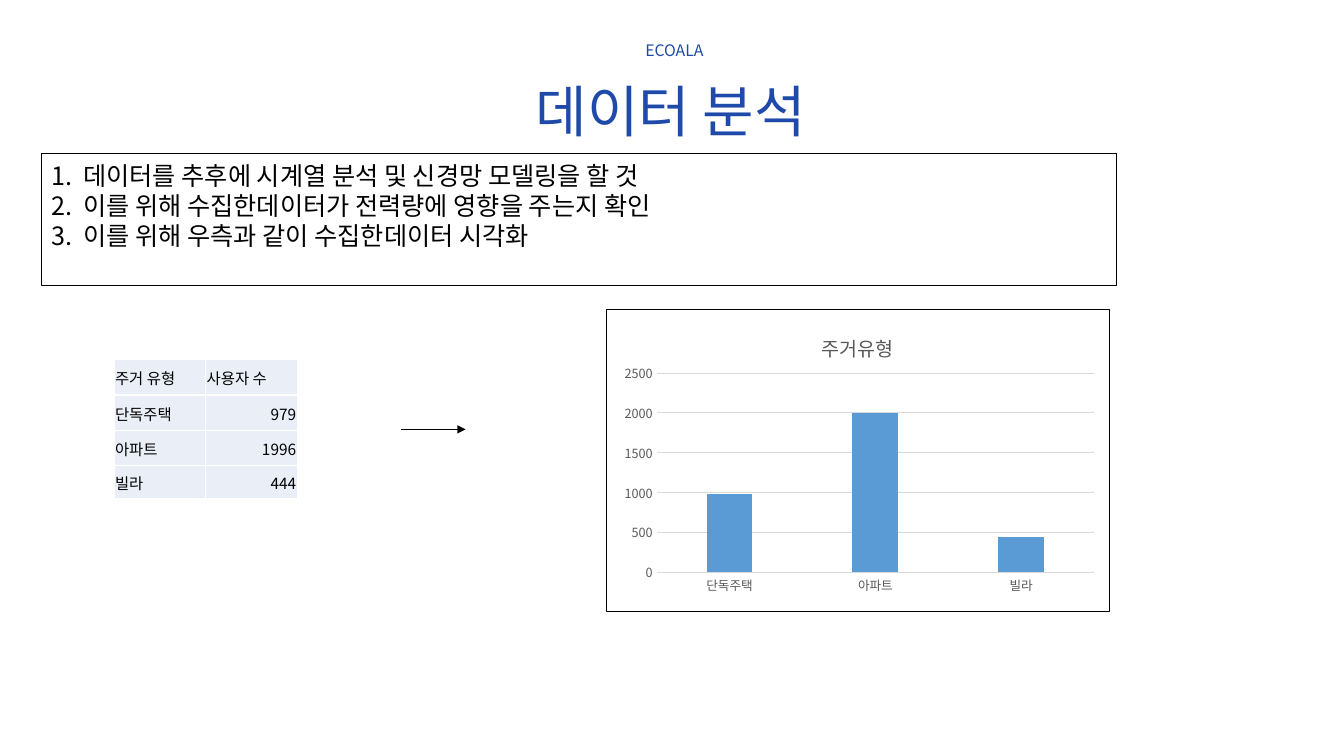
from lxml.etree import SubElement
from pptx import Presentation
from pptx.chart.data import CategoryChartData
from pptx.dml.color import RGBColor
from pptx.enum.chart import XL_CHART_TYPE, XL_TICK_MARK
from pptx.enum.shapes import MSO_CONNECTOR, MSO_SHAPE
from pptx.enum.text import MSO_ANCHOR, PP_ALIGN
from pptx.oxml import parse_xml
from pptx.oxml.ns import nsdecls, qn
from pptx.util import Pt

FONT = "Noto Sans CJK KR"
BLACK, BLUE, GRAY, GRID, BAR, CELL, WHITE = (
    "000000", "204AA9", "595959", "D9D9D9", "5B9BD5", "EAEFF7", "FFFFFF")


def color(value):
    return RGBColor.from_string(value)


def style_font(font, size, ink):
    font.name = FONT
    font.size = Pt(size)
    font.bold = False
    font.color.rgb = color(ink)


def write_text(frame, text, size=11, ink=BLACK, align=PP_ALIGN.LEFT, spacing=None,
               margins=(0, 0, 0, 0), anchor=MSO_ANCHOR.TOP, hanging=0):
    frame.word_wrap = True
    frame.vertical_anchor = anchor
    frame.margin_left, frame.margin_top, frame.margin_right, frame.margin_bottom = map(Pt, margins)
    for index, line in enumerate(text.split("\n")):
        paragraph = frame.paragraphs[0] if index == 0 else frame.add_paragraph()
        run = paragraph.add_run()
        run.text = line
        style_font(run.font, size, ink)
        for tag in ("a:ea", "a:cs"):
            SubElement(run.font._element, qn(tag), typeface=FONT)
        paragraph.alignment = align
        if spacing:
            paragraph.line_spacing = Pt(spacing)
        if hanging:
            properties = paragraph._p.get_or_add_pPr()
            properties.set("marL", str(Pt(hanging)))
            properties.set("indent", str(-Pt(hanging)))


class SlideBuilder:
    def __init__(self, presentation):
        self.slide = presentation.slides.add_slide(presentation.slide_layouts[6])
        self.shapes = self.slide.shapes

    def label(self, box, text, **text_format):
        shape = self.shapes.add_textbox(*map(Pt, box))
        write_text(shape.text_frame, text, align=PP_ALIGN.CENTER, **text_format)

    def outlined_box(self, box, text, **text_format):
        shape = self.shapes.add_shape(MSO_SHAPE.RECTANGLE, *map(Pt, box))
        shape.shadow.inherit = False
        shape.fill.background()
        shape.line.color.rgb = color(BLACK)
        shape.line.width = Pt(0.75)
        write_text(shape.text_frame, text, **text_format)

    def arrow(self, left, right, top):
        connector = self.shapes.add_connector(
            MSO_CONNECTOR.STRAIGHT, Pt(left), Pt(top), Pt(right), Pt(top))
        connector.line.color.rgb = color(BLACK)
        connector.line.width = Pt(0.5)
        SubElement(connector.line._get_or_add_ln(), qn("a:tailEnd"), type="triangle")
        SubElement(connector._element.spPr, qn("a:effectLst"))

    def table(self, left, top, column_width, row_heights, rows):
        columns = len(rows[0])
        table = self.shapes.add_table(
            len(rows), columns, Pt(left), Pt(top),
            Pt(column_width * columns), Pt(sum(row_heights))).table
        for column in table.columns:
            column.width = Pt(column_width)
        for row, height, values in zip(table.rows, row_heights, rows):
            row.height = Pt(height)
            for cell, value in zip(row.cells, values):
                self.fill_cell(cell, value)

    def fill_cell(self, cell, value):
        align = PP_ALIGN.RIGHT if value.isdigit() else PP_ALIGN.LEFT
        write_text(cell.text_frame, value, align=align)
        cell.vertical_anchor = MSO_ANCHOR.MIDDLE
        cell.margin_left = cell.margin_top = cell.margin_right = Pt(0.75)
        cell.margin_bottom = 0
        properties = cell._tc.get_or_add_tcPr()
        for side in ("a:lnL", "a:lnR", "a:lnT", "a:lnB"):
            border = SubElement(properties, qn(side), w=str(Pt(1)))
            fill = SubElement(border, qn("a:solidFill"))
            SubElement(fill, qn("a:srgbClr"), val=WHITE)
        cell.fill.solid()
        cell.fill.fore_color.rgb = color(CELL)

    def column_chart(self, box, title, categories, values):
        data = CategoryChartData()
        data.categories = categories
        data.add_series("Series 1", values)
        chart = self.shapes.add_chart(
            XL_CHART_TYPE.COLUMN_CLUSTERED, *map(Pt, box), data).chart
        style_font(chart.font, 10, BLACK)
        chart.has_legend = False
        chart.has_title = True
        write_text(chart.chart_title.text_frame, title, size=14, ink=GRAY, align=PP_ALIGN.CENTER)
        chart.chart_title.include_in_layout = False

        plot = chart.plots[0]
        plot.gap_width = 219
        plot.overlap = -27
        plot.vary_by_categories = False
        bars = plot.series[0].format.fill
        bars.solid()
        bars.fore_color.rgb = color(BAR)

        for axis in (chart.category_axis, chart.value_axis):
            style_font(axis.tick_labels.font, 9, GRAY)
            axis.major_tick_mark = axis.minor_tick_mark = XL_TICK_MARK.NONE
        category_line = chart.category_axis.format.line
        grid_line = chart.value_axis.major_gridlines.format.line
        for line in (category_line, grid_line):
            line.color.rgb = color(GRID)
            line.width = Pt(0.75)
        chart.value_axis.format.line.fill.background()
        chart.value_axis.minimum_scale = 0
        chart.value_axis.maximum_scale = 2500
        chart.value_axis.major_unit = 500

        self.place(chart.chart_title._element, x=0.42, y=0.06)
        self.place(chart._chartSpace.chart.plotArea, x=0.1, y=0.21, w=0.87, h=0.66)
        border = parse_xml(
            f'<c:spPr {nsdecls("c", "a")}><a:noFill/><a:ln w="{Pt(0.75)}"><a:solidFill>'
            f'<a:srgbClr val="{BLACK}"/></a:solidFill></a:ln></c:spPr>')
        chart._chartSpace.chart.addnext(border)

    def place(self, element, **fractions):
        for layout in element.findall(qn("c:layout")):
            element.remove(layout)
        layout = parse_xml(f'<c:layout {nsdecls("c")}><c:manualLayout/></c:layout>')
        manual = layout[0]
        if "w" in fractions:
            SubElement(manual, qn("c:layoutTarget"), val="inner")
        for axis in "xy":
            SubElement(manual, qn(f"c:{axis}Mode"), val="edge")
        for key, fraction in fractions.items():
            SubElement(manual, qn(f"c:{key}"), val=str(fraction))
        text = element.find(qn("c:tx"))
        if text is None:
            element.insert(0, layout)
        else:
            text.addnext(layout)


def main():
    presentation = Presentation()
    presentation.slide_width = Pt(960)
    presentation.slide_height = Pt(540)
    builder = SlideBuilder(presentation)

    builder.label((139.7, 46.8, 679, 51.1), "데이터 분석", size=40, ink=BLUE, spacing=56)
    builder.label((416.2, 26.6, 131, 15.8), "ECOALA", size=11.3, ink=BLUE, spacing=15.9)
    builder.outlined_box(
        (29.5, 109.4, 768.2, 94.3),
        "1.\t데이터를 추후에 시계열 분석 및 신경망 모델링을 할 것\n"
        "2.\t이를 위해 수집한데이터가 전력량에 영향을 주는지 확인\n"
        "3.\t이를 위해 우측과 같이 수집한데이터 시각화",
        size=18, spacing=21.4, margins=(7.2, 5.4, 7.2, 3.6), hanging=23)

    housing_types = ("단독주택", "아파트", "빌라")
    users = ("979", "1996", "444")
    builder.column_chart((432.7, 221, 360, 216), "주거유형", housing_types, (980, 2000, 440))
    builder.table(81.4, 257, 65.5, (25.2, 25.2, 25.2, 23.8),
                  [("주거 유형", "사용자 수"), *zip(housing_types, users)])
    builder.arrow(286.6, 332.6, 306.7)
    presentation.save("out.pptx")


if __name__ == "__main__":
    main()
